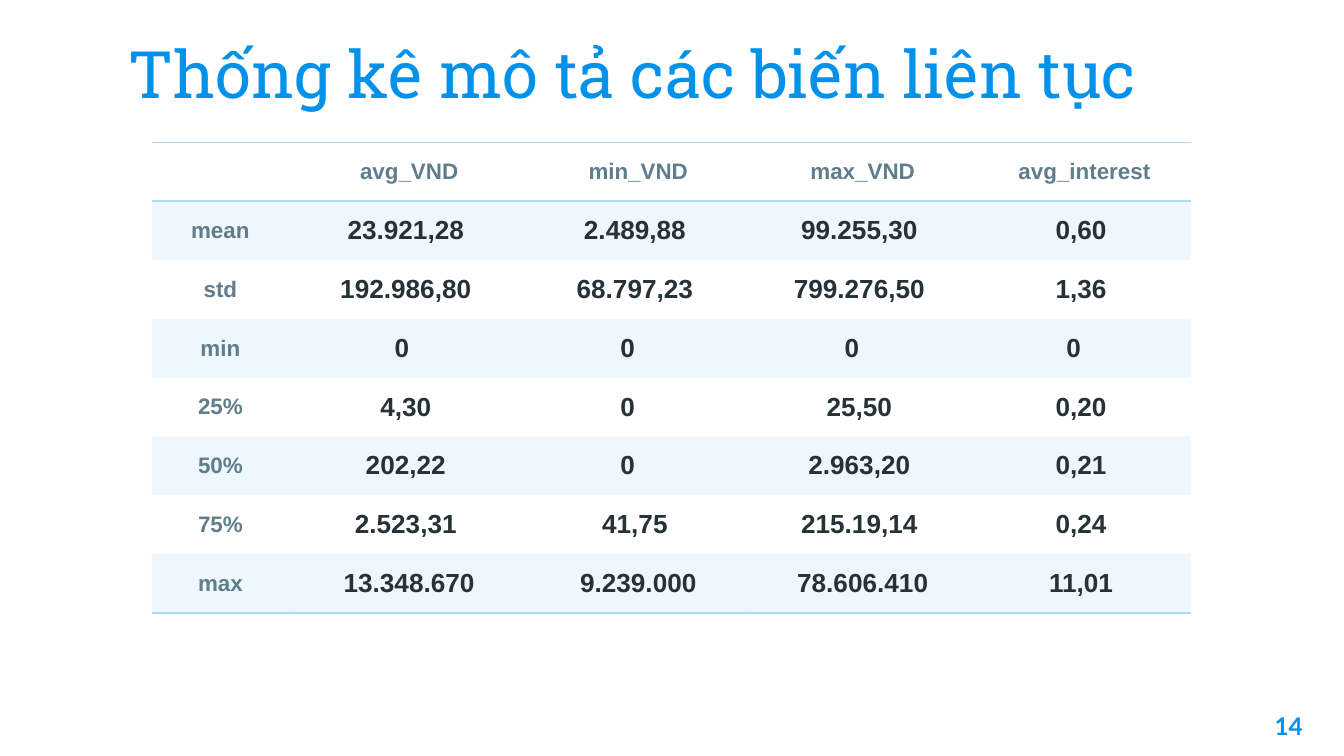
from lxml import etree
from pptx import Presentation
from pptx.dml.color import RGBColor
from pptx.enum.text import MSO_ANCHOR as ANCHOR, PP_ALIGN as ALIGN
from pptx.oxml import parse_xml
from pptx.oxml.ns import nsdecls, qn
from pptx.util import Inches, Pt

BLUE, PALE, GREY, DARK = "0091EA", "ACDBF8", "607D8B", "263238"


def rgb(value):
    return RGBColor.from_string(value)


def write(tf, text, font, size, color, bold, align):
    p = tf.paragraphs[0]
    p.alignment = align
    r = p.add_run()
    r.text = text
    for name, value in {"name": font, "size": Pt(size), "bold": bold}.items():
        setattr(r.font, name, value)
    r.font.color.rgb = rgb(color)


# Widescreen 16:9 slide
prs = Presentation()
prs.slide_width, prs.slide_height = Inches(10), Inches(10 * 9 / 16)
s = prs.slides.add_slide(prs.slide_layouts[6])

# Title and slide number
texts = [
    ((0.86, 0.16, 8.28, 0.77), ANCHOR.BOTTOM,
     ("Thống kê mô tả các biến liên tục", "Roboto Slab", 35, BLUE, False, ALIGN.LEFT)),
    ((9.19, 5.19, 0.6, 0.43), ANCHOR.TOP,
     ("14", "Lato", 13, BLUE, True, ALIGN.RIGHT)),
]
for box, anchor, content in texts:
    tf = s.shapes.add_textbox(*map(Inches, box)).text_frame
    frame = {"word_wrap": True, "vertical_anchor": anchor}
    frame.update({f"margin_{side}": Inches(0.1)
                  for side in ("left", "top", "right", "bottom")})
    for name, value in frame.items():
        setattr(tf, name, value)
    write(tf, *content)

# Statistics table
rows = [
    ["", "avg_VND", "min_VND", "max_VND", "avg_interest"],
    ["mean", "23.921,28", "2.489,88", "99.255,30", "0,60"],
    ["std", "192.986,80", "68.797,23", "799.276,50", "1,36"],
    ["min", "0", "0", "0", "0"],
    ["25%", "4,30", "0", "25,50", "0,20"],
    ["50%", "202,22", "0", "2.963,20", "0,21"],
    ["75%", "2.523,31", "41,75", "215.19,14", "0,24"],
    ["max", "13.348.670", "9.239.000", "78.606.410", "11,01"],
]
widths = [1.02, 1.79, 1.62, 1.72, 1.58]
last = len(rows) - 1
table = s.shapes.add_table(len(rows), len(widths), Inches(1.13), Inches(1.06),
                           Inches(sum(widths)), Inches(3.5)).table
table.first_row = table.horz_banding = False
# "No Style, No Grid"
style = table._tbl.tblPr.find(qn("a:tableStyleId"))
style.text = "{2D5ABB26-0587-4C30-8999-92F81FD0307C}"
for column, width in zip(table.columns, widths):
    column.width = Inches(width)

for i, row in enumerate(rows):
    table.rows[i].height = Inches(3.5 / len(rows))
    for j, text in enumerate(row):
        cell = table.cell(i, j)
        label = i == 0 or j == 0

        # Extra right margin nudges decimals and zeros to the left
        if text == "0":
            nudge = 0.11 if j == 1 else 0.16
        else:
            nudge = 0.05 if "," in text else 0
        layout = {
            "vertical_anchor": ANCHOR.MIDDLE,
            "margin_left": Inches(0.08), "margin_right": Inches(0.08 + nudge),
            "margin_top": 0, "margin_bottom": 0,
        }
        for name, value in layout.items():
            setattr(cell, name, value)
        if text:
            write(cell.text_frame, text, "Arial", 12 if label else 14,
                  GREY if label else DARK, True, ALIGN.CENTER)

        # Translucent band on odd rows
        tc_pr = cell._tc.get_or_add_tcPr()
        if i % 2:
            cell.fill.solid()
            cell.fill.fore_color.rgb = rgb(PALE)
            color = tc_pr.find(".//" + qn("a:srgbClr"))
            etree.SubElement(color, qn("a:alpha"), val="20000")
        else:
            cell.fill.background()

        # Rules around the header and below the last row
        edges = {0: ["lnT", "lnB"], last: ["lnB"]}.get(i, [])
        for k, edge in enumerate(edges):
            tc_pr.insert(k, parse_xml(
                f'<a:{edge} {nsdecls("a")} w="{Pt(1)}"><a:solidFill>'
                f'<a:srgbClr val="{PALE}"/></a:solidFill></a:{edge}>'))

prs.save("out.pptx")
